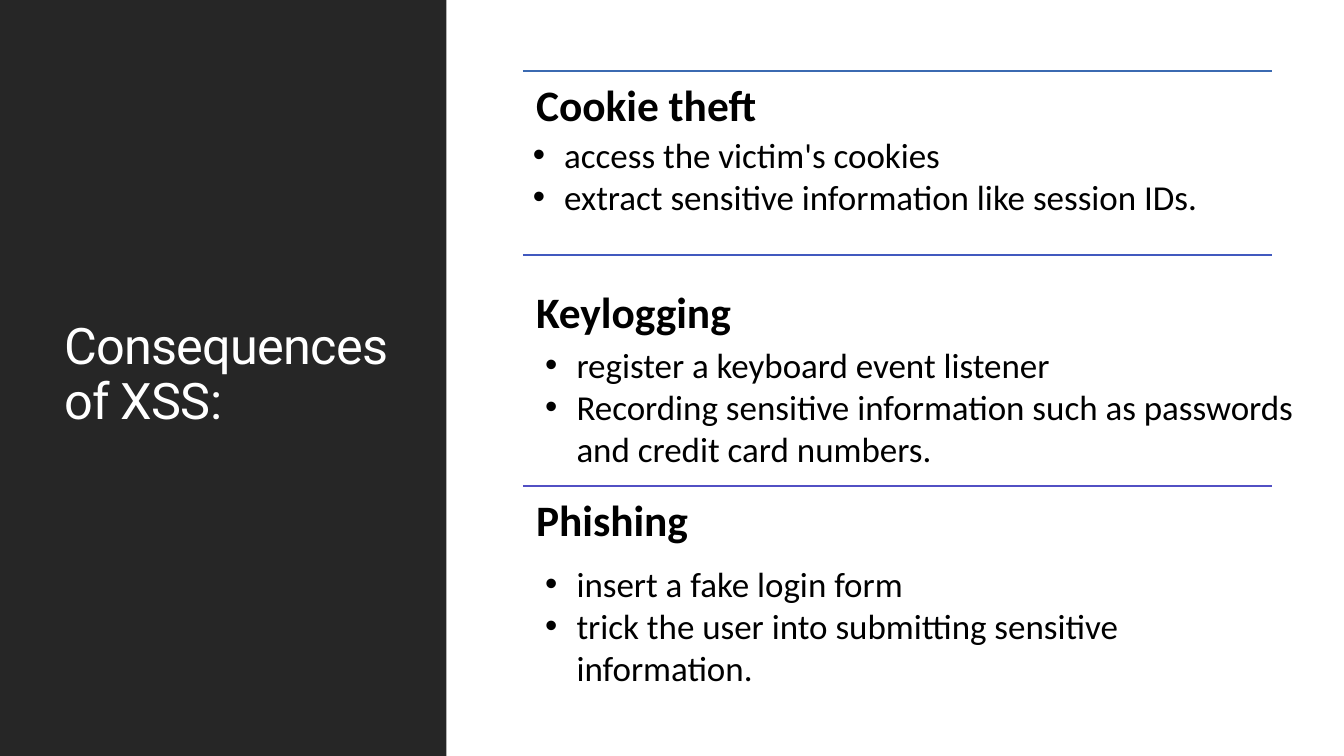
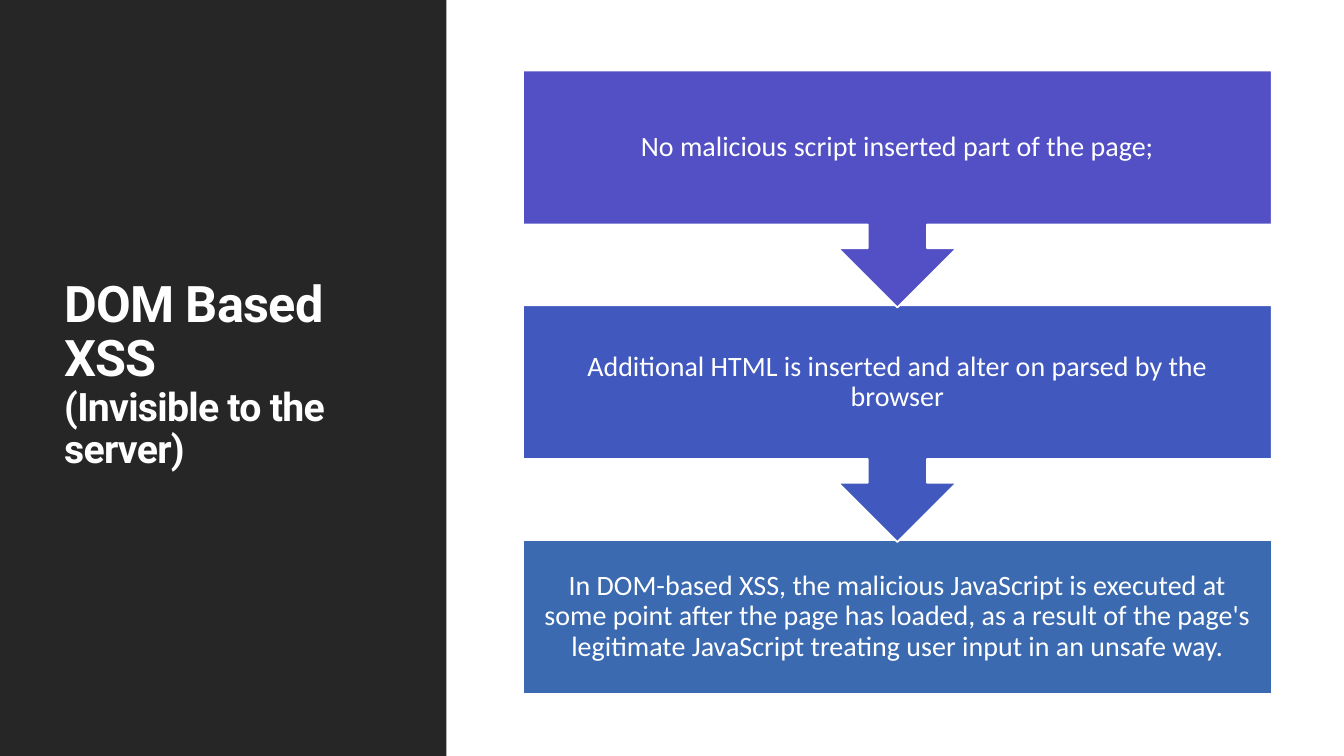
"""Build two slides on cross-site scripting: its consequences and the DOM based kind."""
import pptx
import pptx.dml.color
import pptx.enum.shapes
import pptx.enum.text
import pptx.oxml.ns
import pptx.util
from lxml import etree
from pptx.util import Cm

COLORS = {
    "panel": "262626",
    "white": "FFFFFF",
    "black": "000000",
    "violet": "5250C4",
    "indigo": "4159BF",
    "blue": "3B6AB1",
}
TITLE_FONT = "Roboto"
BODY_FONT = "Calibri"
SLIDE_WIDTH, SLIDE_HEIGHT = 33.87, 19.05
LEFT, TOP, WIDTH = 13.18, 1.78, 18.87
SECTION_PITCH = 5.23
STEP_PITCH, STEP_HEIGHT, CALLOUT_HEIGHT = 5.91, 3.89, 5.97

SECTIONS = [
    ("Cookie theft", "blue", 1.78, (13.18, 3.25, 17.91, 2.39),
     ["access the victim's cookies",
      "extract sensitive information like session IDs."]),
    ("Keylogging", "indigo", 6.43, (13.49, 8.53, 19.81, 4.52),
     ["register a keyboard event listener",
      "Recording sensitive information such as passwords and credit card numbers."]),
    ("Phishing", "violet", 12.24, (13.49, 14.05, 18.57, 4.52),
     ["insert a fake login form",
      "trick the user into submitting sensitive information."]),
]
STEPS = [
    ("No malicious script inserted part of the page;", "violet"),
    ("Additional HTML is inserted and alter on parsed by the browser", "indigo"),
    ("In DOM-based XSS, the malicious JavaScript is executed at some point after "
     "the page has loaded, as a result of the page's legitimate JavaScript "
     "treating user input in an unsafe way.", "blue"),
]


def rgb(name):
    """Return the named colour."""
    return pptx.dml.color.RGBColor.from_string(COLORS[name])


def style_font(font, name, size, color, bold=False):
    """Set typeface, size, colour and weight."""
    font.name = name
    font.size = pptx.util.Pt(size)
    font.color.rgb = rgb(color)
    font.bold = bold


def set_margins(frame, margin):
    """Give a text frame the same margin on all sides."""
    frame.margin_left = frame.margin_right = Cm(margin)
    frame.margin_top = frame.margin_bottom = Cm(margin)


def add_text_box(page, left, top, width, height):
    """Add a wrapping text box and return its text frame."""
    box = page.shapes.add_textbox(Cm(left), Cm(top), Cm(width), Cm(height))
    box.text_frame.word_wrap = True
    return box.text_frame


def add_block(page, kind, left, top, width, height, color):
    """Add a filled shape without outline or shadow."""
    block = page.shapes.add_shape(kind, Cm(left), Cm(top), Cm(width), Cm(height))
    block.shadow.inherit = False
    block.fill.solid()
    block.fill.fore_color.rgb = rgb(color)
    block.line.fill.background()
    return block


def add_page(deck, title_lines, title_width, bold=False):
    """Add a slide with the dark side panel and a title of (text, size) lines."""
    page = deck.slides.add_slide(deck.slide_layouts[6])
    add_block(page, pptx.enum.shapes.MSO_SHAPE.RECTANGLE,
              0, 0, 11.25, SLIDE_HEIGHT, "panel")
    frame = add_text_box(page, 1.37, 1.45, title_width, 16.03)
    frame.vertical_anchor = pptx.enum.text.MSO_ANCHOR.MIDDLE
    para = frame.paragraphs[0]
    para.line_spacing = 0.9
    style_font(para.font, TITLE_FONT, title_lines[0][1], "white", bold)
    for index, (text, size) in enumerate(title_lines):
        if index:
            para.add_line_break()
        span = para.add_run()
        span.text = text
        span.font.size = pptx.util.Pt(size)
        span._r.get_or_add_rPr().set("spc", "-50")
    return page


def add_rule(page, top, color):
    """Add a horizontal rule across the content area."""
    rule = page.shapes.add_connector(
        pptx.enum.shapes.MSO_CONNECTOR.STRAIGHT,
        Cm(LEFT), Cm(top), Cm(LEFT + WIDTH), Cm(top))
    rule.line.color.rgb = rgb(color)
    rule.line.width = pptx.util.Pt(1.25)
    etree.SubElement(rule._element.spPr, pptx.oxml.ns.qn("a:effectLst"))


def add_heading(page, top, text):
    """Add a bold section heading."""
    frame = add_text_box(page, LEFT, top, WIDTH, SECTION_PITCH)
    set_margins(frame, 0.33)
    para = frame.paragraphs[0]
    para.text = text
    para.line_spacing = 0.9
    style_font(para.font, BODY_FONT, 31, "black", bold=True)


def add_bullets(page, bounds, items):
    """Add a bulleted list."""
    frame = add_text_box(page, *bounds)
    for index, item in enumerate(items):
        para = frame.add_paragraph() if index else frame.paragraphs[0]
        para.text = item
        style_font(para.font, BODY_FONT, 25, "black")
        properties = para._p.get_or_add_pPr()
        properties.set("marL", str(Cm(0.79)))
        properties.set("indent", str(-Cm(0.79)))
        bullet_font = etree.Element(pptx.oxml.ns.qn("a:buFont"), typeface="Arial")
        bullet = etree.Element(pptx.oxml.ns.qn("a:buChar"), char="•")
        properties.insert(0, bullet_font)
        properties.insert(1, bullet)


def add_step(page, index, text, color, is_last):
    """Add one step of the flow, with a down arrow unless it is the last."""
    shapes = pptx.enum.shapes.MSO_SHAPE
    kind = shapes.RECTANGLE if is_last else shapes.DOWN_ARROW_CALLOUT
    height = STEP_HEIGHT if is_last else CALLOUT_HEIGHT
    step = add_block(page, kind, LEFT, TOP + index * STEP_PITCH, WIDTH, height, color)
    step.line.color.rgb = rgb("white")
    step.line.width = pptx.util.Pt(1.25)
    frame = step.text_frame
    frame.word_wrap = True
    frame.vertical_anchor = pptx.enum.text.MSO_ANCHOR.MIDDLE
    set_margins(frame, 0.41)
    para = frame.paragraphs[0]
    para.text = text
    para.alignment = pptx.enum.text.PP_ALIGN.CENTER
    para.line_spacing = 0.9
    style_font(para.font, BODY_FONT, 20, "white")


def add_consequences(deck):
    """Add the slide of consequences."""
    page = add_page(deck, [("Consequences of XSS:", 36)], 9.19)
    for index, (heading, color, rule_top, bounds, items) in enumerate(SECTIONS):
        add_rule(page, rule_top, color)
        add_heading(page, TOP + index * SECTION_PITCH, heading)
        add_bullets(page, bounds, items)


def add_dom_flow(deck):
    """Add the slide of the DOM based flow, drawn from the last step up."""
    page = add_page(
        deck, [("DOM Based XSS", 36), ("(Invisible to the server)", 28)], 8.56, bold=True)
    last = len(STEPS) - 1
    for index in range(last, -1, -1):
        text, color = STEPS[index]
        add_step(page, index, text, color, index == last)


def main():
    """Build and save the deck."""
    deck = pptx.Presentation()
    deck.slide_width, deck.slide_height = Cm(SLIDE_WIDTH), Cm(SLIDE_HEIGHT)
    add_consequences(deck)
    add_dom_flow(deck)
    deck.save("out.pptx")


if __name__ == "__main__":
    main()
